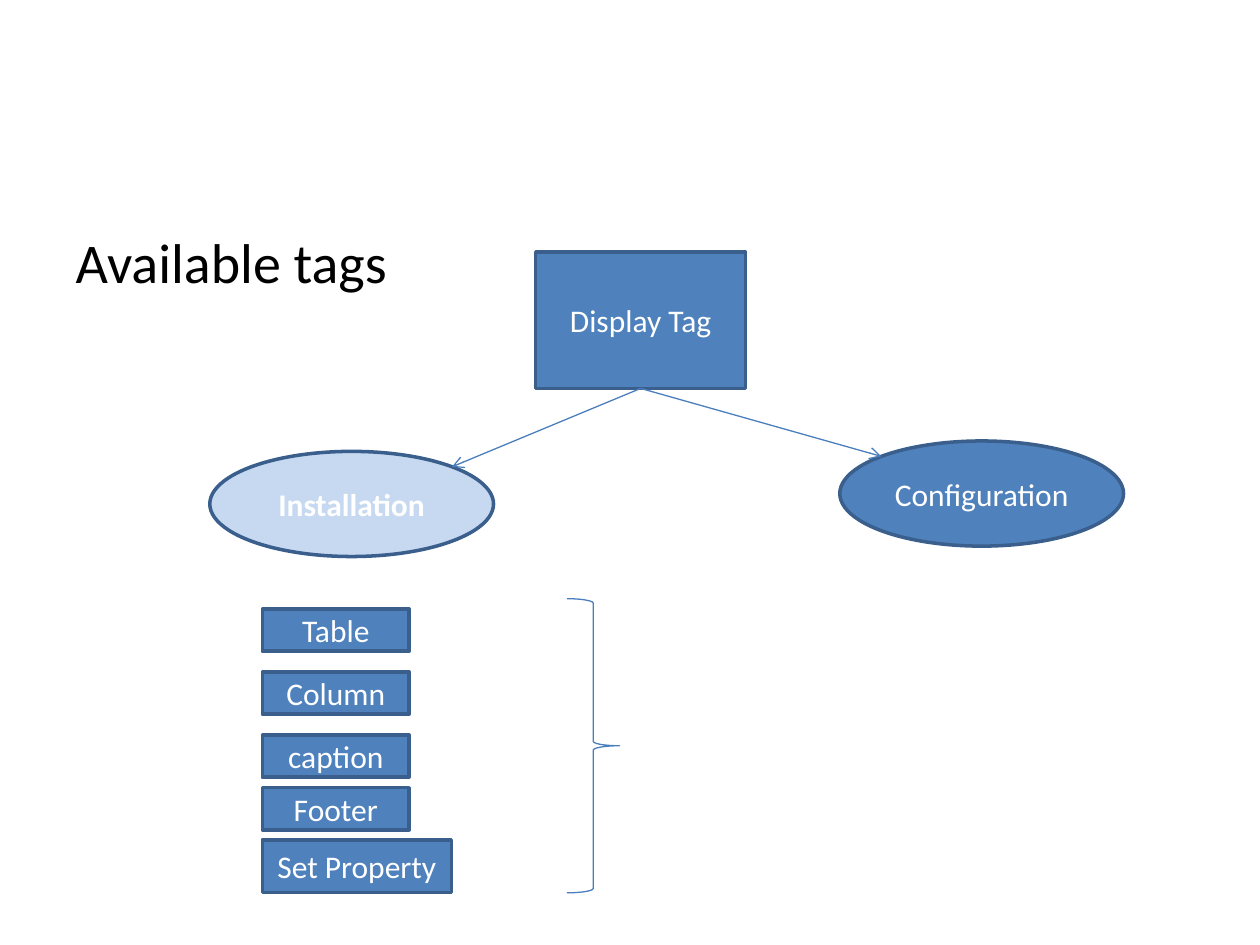
import pptx
import pptx.util
import pptx.dml.color
import pptx.enum.shapes
import pptx.enum.text
import pptx.oxml.ns
import math

Cm, Pt = pptx.util.Cm, pptx.util.Pt
SHAPE = pptx.enum.shapes.MSO_SHAPE


def rgb(value):
    return pptx.dml.color.RGBColor.from_string(value)


class TagSlide:
    """Style and drawing methods for the tag overview slide."""

    blue, pale, border, thin = "4F81BD", "C6D9F1", "3A5F8C", "4B7EBC"
    font = {"name": "Calibri", "size": Pt(18), "bold": False}

    def __init__(self, prs):
        self.s = prs.slides.add_slide(prs.slide_layouts[1])
        title = self.s.shapes.title.element
        title.getparent().remove(title)

    def add_text(self, p, text, color, **changes):
        r = p.add_run()
        r.text = text
        for name, value in {**self.font, **changes}.items():
            setattr(r.font, name, value)
        r.font.color.rgb = rgb(color)

    def add_xml(self, parent, tag, **attrs):
        parent.append(parent.makeelement(pptx.oxml.ns.qn(tag), attrs))

    def outline(self, line, color, width):
        line.color.rgb = rgb(color)
        line.width = Pt(width)

    def body(self, text, *box):
        sp = self.s.placeholders[1]
        for name, value in zip(("left", "top", "width", "height"), box):
            setattr(sp, name, Cm(value))
        p = sp.text_frame.paragraphs[0]
        self.add_xml(p._p.get_or_add_pPr(), "a:buNone")
        self.add_text(p, text, "000000", size=Pt(32))

    def shape(self, kind, *box):
        sp = self.s.shapes.add_shape(kind, *map(Cm, box))
        sp.shadow.inherit = False
        return sp

    def node(self, text, *box, kind=SHAPE.RECTANGLE, fill=blue, bold=False):
        sp = self.shape(kind, *box)
        sp.fill.solid()
        sp.fill.fore_color.rgb = rgb(fill)
        self.outline(sp.line, self.border, 2)
        tf = sp.text_frame
        tf.word_wrap = True
        tf.vertical_anchor = pptx.enum.text.MSO_ANCHOR.MIDDLE
        p = tf.paragraphs[0]
        p.alignment = pptx.enum.text.PP_ALIGN.CENTER
        self.add_text(p, text, "FFFFFF", bold=bold)
        return sp

    def brace(self, *box):
        sp = self.shape(SHAPE.RIGHT_BRACE, *box)
        sp.fill.background()
        self.outline(sp.line, self.thin, 0.75)

    def arrow(self, parent, ellipse, side):
        """Join the foot of parent to the upper left (-1) or right (1) of ellipse."""
        reach = math.sqrt(0.5)
        x = int(ellipse.left + ellipse.width / 2 * (1 + side * reach))
        y = int(ellipse.top + ellipse.height / 2 * (1 - reach))
        line = self.s.shapes.add_connector(
            pptx.enum.shapes.MSO_CONNECTOR.STRAIGHT, 0, 0, x, y)
        line.begin_connect(parent, 2)
        self.outline(line.line, self.thin, 0.75)
        self.add_xml(line.line._get_or_add_ln(), "a:tailEnd", type="arrow")
        self.add_xml(line._element.spPr, "a:effectLst")


prs = pptx.Presentation()
prs.slide_width, prs.slide_height = Cm(25.4), Cm(19.05)
s = TagSlide(prs)

s.body("Available tags", 1.27, 4.45, 23.28, 13.97)
root = s.node("Display Tag", 10.8, 5.08, 4.23, 2.75)
configuration = s.node("Configuration", 16.93, 8.89, 5.72, 2.12, kind=SHAPE.OVAL)
installation = s.node("Installation", 4.23, 9.1, 5.72, 2.12, kind=SHAPE.OVAL,
                      fill=s.pale, bold=True)
s.arrow(root, installation, 1)
s.arrow(root, configuration, -1)

tags = {"Table": 12.28, "Column": 13.55, "caption": 14.82, "Footer": 15.88}
for tag, top in tags.items():
    s.node(tag, 5.29, top, 2.96, 0.85)
s.node("Set Property", 5.29, 16.93, 3.81, 1.06)
s.brace(11.43, 12.07, 1.06, 5.93)

prs.save("out.pptx")
